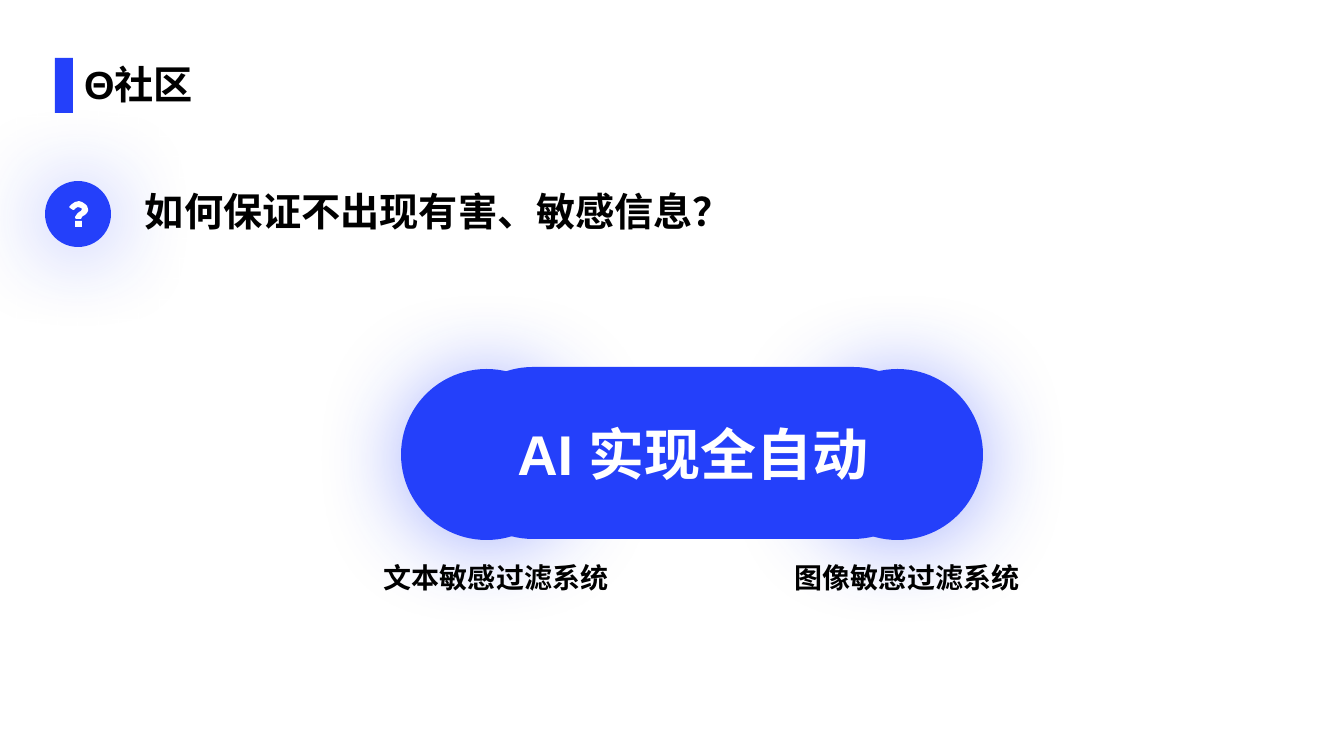
from lxml import etree
from pptx import Presentation
from pptx import util as u
from pptx.dml.color import RGBColor
from pptx.enum import shapes, text
from pptx.oxml.ns import qn

PX = 914400 / 100.8
COLORS = {"blue": "2440FA", "black": "000000", "white": "FFFFFF"}
HOOK = [(19, 8), (19, 10), (18, 12), (16, 14), (14, 15), (13, 16), (12, 18), (7, 18),
        (6, 17), (6, 16), (8, 13), (10, 11), (12, 10), (13, 8), (12, 7), (9, 6),
        (7, 7), (5, 9), (4, 9), (1, 7), (0, 6), (3, 3), (6, 1), (10, 0), (13, 1),
        (16, 3), (18, 5)]
DOT = [(6, 20), (13, 20), (13, 26), (6, 26)]


class Deck:
    """Hold the style and the current slide and draw each kind of element."""

    def __init__(self, font="Arial"):
        self.font = font
        self.prs = Presentation()
        self.prs.slide_width, self.prs.slide_height = self.box(1344, 756)
        self.s = self.prs.slides.add_slide(self.prs.slide_layouts[5])

    def box(self, *lengths):
        return [u.Emu(round(n * PX)) for n in lengths]

    def color(self, name):
        return RGBColor.from_string(COLORS[name])

    def add_words(self, sp, words, size, color="black", align=text.PP_ALIGN.LEFT):
        p = sp.text_frame.paragraphs[0]
        p.alignment = align
        r = p.add_run()
        r.text = words
        r.font.name, r.font.size, r.font.bold = self.font, u.Pt(size), True
        r.font.color.rgb = self.color(color)
        return p

    def paint(self, sp, color):
        sp.shadow.inherit = False
        sp.fill.solid()
        sp.fill.fore_color.rgb = self.color(color)
        sp.line.fill.background()
        return sp

    def title(self, words, *at):
        sp = self.s.shapes.title
        sp.left, sp.top, sp.width, sp.height = self.box(*at)
        tf = sp.text_frame
        tf.auto_size = text.MSO_AUTO_SIZE.NONE
        tf.vertical_anchor = text.MSO_ANCHOR.BOTTOM
        self.add_words(sp, words, 28).line_spacing = 0.9

    def shape(self, kind, *at):
        return self.paint(self.s.shapes.add_shape(kind, *self.box(*at)), "blue")

    def disc(self, x, y, size):
        sp = self.shape(shapes.MSO_SHAPE.OVAL, x, y, size, size)
        effects = sp._element.spPr.find(qn("a:effectLst"))
        glow = etree.SubElement(effects, qn("a:outerShdw"), blurRad=str(u.Pt(63)),
                                dist=str(u.Pt(3)), dir="5400000", algn="t",
                                rotWithShape="0")
        tint = etree.SubElement(glow, qn("a:srgbClr"), val=COLORS["blue"])
        etree.SubElement(tint, qn("a:alpha"), val="42000")
        return sp

    def label(self, words, size, *at):
        sp = self.s.shapes.add_textbox(*self.box(*at))
        sp.text_frame.word_wrap = False
        sp.text_frame.auto_size = text.MSO_AUTO_SIZE.SHAPE_TO_FIT_TEXT
        self.add_words(sp, words, size)
        return sp

    def outline(self, contours, x, y):
        fb = self.s.shapes.build_freeform(*contours[0][0], scale=PX)
        fb.add_line_segments(contours[0][1:])
        for contour in contours[1:]:
            fb.move_to(*contour[0])
            fb.add_line_segments(contour[1:])
        return self.paint(fb.convert_to_shape(*self.box(x, y)), "white")

    def group(self, *members):
        self.s.shapes.add_group_shape(members)


def main():
    d = Deck()
    d.shape(shapes.MSO_SHAPE.RECTANGLE, 55, 58, 18, 55)
    d.title("Θ社区", 74, 0, 1196, 113)
    d.group(d.disc(45, 181, 66), d.outline([HOOK, DOT], 69, 201))
    d.label("如何保证不出现有害、敏感信息？", 28, 135, 182, 614, 57)

    for x, caption in ((401, "文本敏感过滤系统"), (812, "图像敏感过滤系统")):
        d.group(d.disc(x, 369, 171), d.label(caption, 20, x - 27, 556, 247, 44))

    pill = d.shape(shapes.MSO_SHAPE.ROUNDED_RECTANGLE, 447, 367, 492, 172)
    pill.adjustments[0] = 0.5
    pill.text_frame.vertical_anchor = text.MSO_ANCHOR.MIDDLE
    d.add_words(pill, "AI 实现全自动", 40, "white", text.PP_ALIGN.CENTER)

    d.prs.save("out.pptx")


if __name__ == "__main__":
    main()
